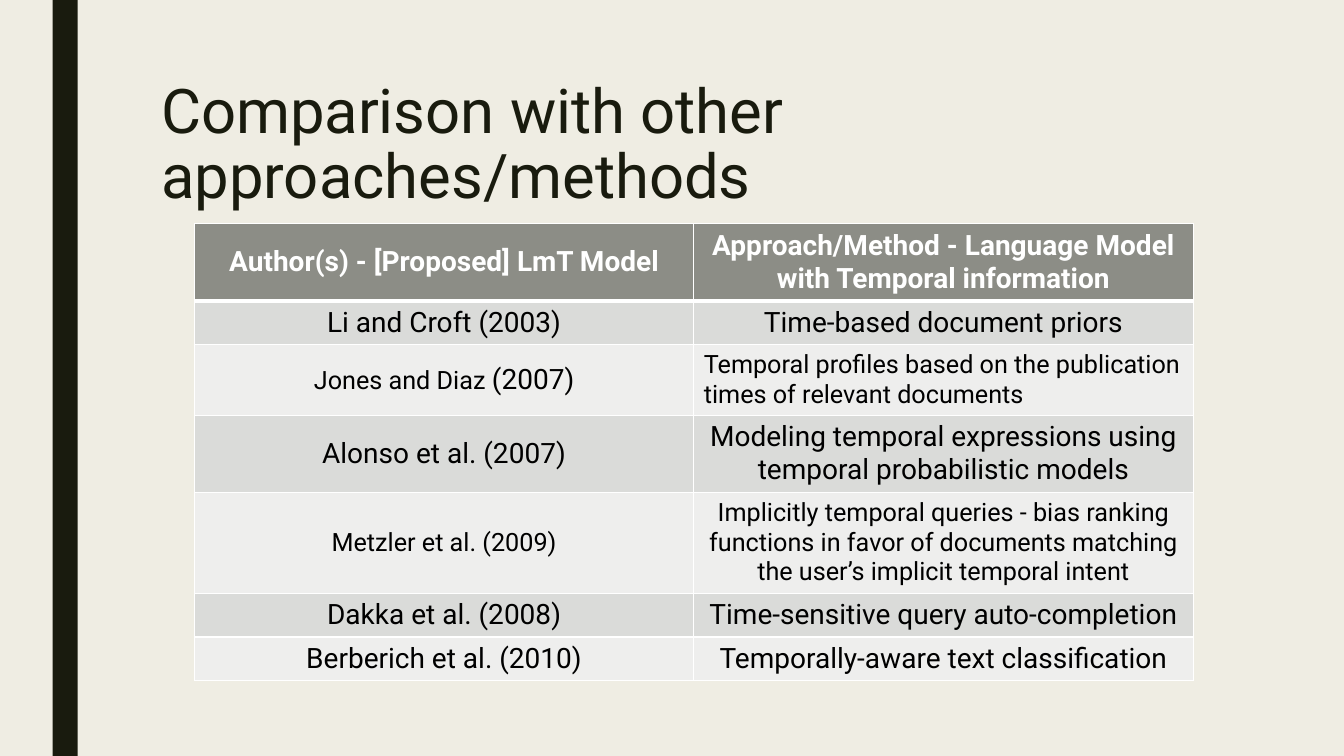
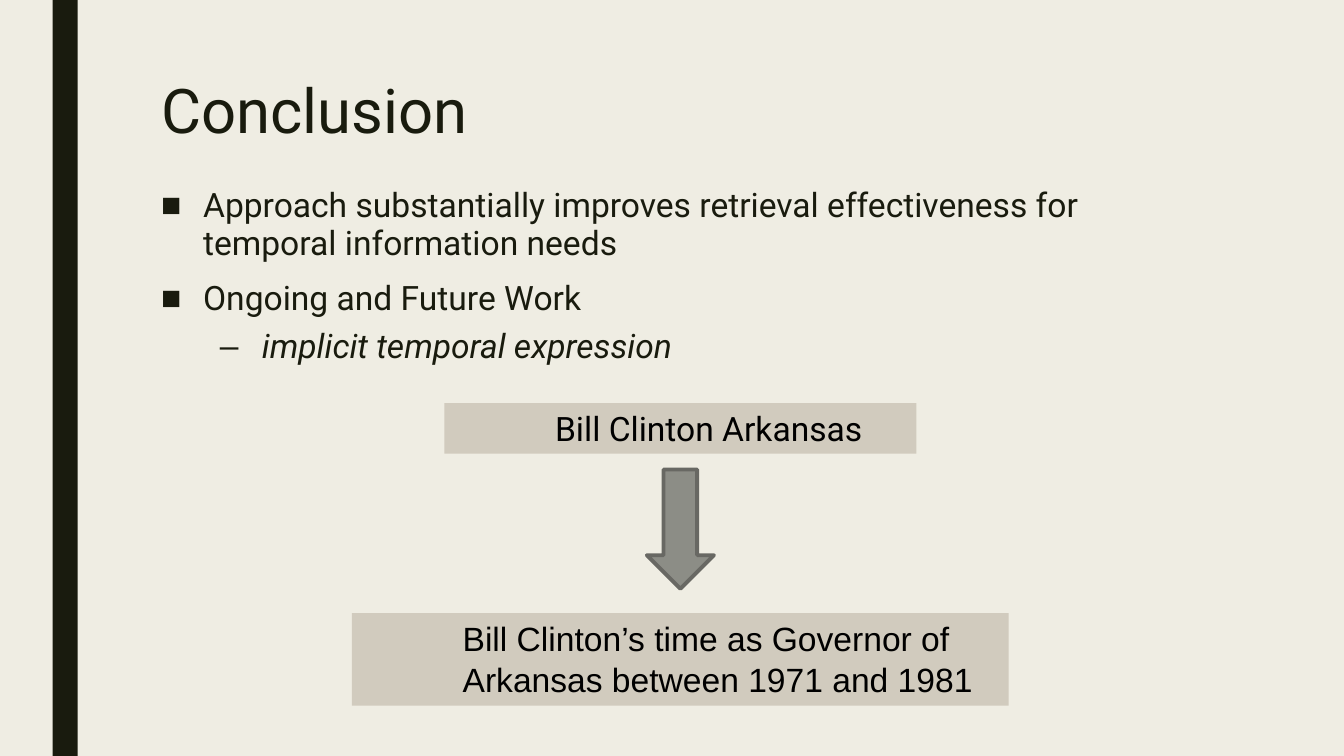
import lxml.etree
import pptx
import pptx.dml.color
import pptx.enum.shapes
import pptx.enum.text
import pptx.oxml.ns
import pptx.util

RGB = pptx.dml.color.RGBColor
SHAPE = pptx.enum.shapes.MSO_SHAPE
ALIGN = pptx.enum.text.PP_ALIGN
ANCHOR = pptx.enum.text.MSO_ANCHOR
Pt = pptx.util.Pt

PAPER = RGB(0xEF, 0xED, 0xE3)
INK = RGB(0x19, 0x1B, 0x0E)
STONE = RGB(0x8C, 0x8D, 0x86)
STONE_EDGE = RGB(0x68, 0x68, 0x63)
SAND = RGB(0xD1, 0xCB, 0xBE)
ROW_DARK = RGB(0xDA, 0xDB, 0xD9)
ROW_LIGHT = RGB(0xEE, 0xEE, 0xED)
WHITE = RGB(0xFF, 0xFF, 0xFF)
BLACK = RGB(0, 0, 0)

COLUMNS, ROWS = 160, 90
CELL = pptx.util.Inches(1 / 12)
MARGIN = 18
FLOW_AXIS = 81

BULLETS = [
    dict(mark="■", left=5, before=10, italic=False),
    dict(mark="–", left=12, before=5, italic=True),
]
HANGING = 5


def grid(*lengths):
    return [round(length * CELL) for length in lengths]


def set_values(target, values):
    for name, value in values.items():
        setattr(target, name, value)


def add_element(parent, tag, index=None, **attributes):
    element = lxml.etree.Element(pptx.oxml.ns.qn(tag), attributes)
    parent.insert(len(parent) if index is None else index, element)
    return element


class Deck:
    def __init__(self):
        self.deck = pptx.Presentation()
        self.deck.slide_width, self.deck.slide_height = grid(COLUMNS, ROWS)
        self.page = None

    def add_page(self, title):
        self.page = self.deck.slides.add_slide(self.deck.slide_layouts[6])
        background = self.page.background.fill
        background.solid()
        background.fore_color.rgb = PAPER
        self.add_figure(SHAPE.RECTANGLE, 6.25, 0, 3, ROWS, INK)
        frame = self.add_text(MARGIN, 9, 126, 19.5)
        para = frame.paragraphs[0]
        para.line_spacing = 0.89
        self.add_span(para, title, size=44)

    def add_span(self, para, text, size=24, color=INK, **values):
        span = para.add_run()
        span.text = text
        span.font.color.rgb = color
        set_values(span.font, {"name": "Roboto", "size": Pt(size), **values})

    def add_text(self, left, top, width, height):
        box = self.page.shapes.add_textbox(*grid(left, top, width, height))
        box.text_frame.word_wrap = True
        return box.text_frame

    def add_figure(self, kind, left, top, width, height, fill, edge=None):
        shape = self.page.shapes.add_shape(kind, *grid(left, top, width, height))
        shape.shadow.inherit = False
        shape.fill.solid()
        shape.fill.fore_color.rgb = fill
        if edge is None:
            shape.line.fill.background()
        else:
            shape.line.color.rgb = edge
            shape.line.width = Pt(2.75)
        return shape

    def add_flow_shape(self, kind, top, width, height, fill, edge=None):
        left = FLOW_AXIS - width / 2
        return self.add_figure(kind, left, top, width, height, fill, edge)

    def add_flow_box(self, top, width, height, text, font):
        box = self.add_flow_shape(SHAPE.RECTANGLE, top, width, height, SAND)
        frame = box.text_frame
        set_values(frame, {"word_wrap": True, "vertical_anchor": ANCHOR.TOP})
        para = frame.paragraphs[0]
        para.alignment = ALIGN.LEFT
        self.indent(para, 12, 0)
        self.add_span(para, text, color=BLACK, name=font)

    def indent(self, para, left, first):
        properties = para._p.get_or_add_pPr()
        for name, length in zip(("marL", "indent"), grid(left, first)):
            properties.set(name, str(length))
        return properties

    def add_bullets(self, top, height, items):
        frame = self.add_text(MARGIN, top, 123, height)
        for number, (level, text) in enumerate(items):
            para = frame.add_paragraph() if number else frame.paragraphs[0]
            style = BULLETS[level]
            set_values(para, {
                "level": level,
                "line_spacing": 0.94,
                "space_before": Pt(style["before"]),
                "space_after": Pt(2),
            })
            properties = self.indent(para, style["left"], -HANGING)
            add_element(properties, "a:buFont", typeface="Arial")
            add_element(properties, "a:buChar", char=style["mark"])
            self.add_span(para, text, italic=style["italic"])

    def add_borders(self, cell, top, bottom):
        properties = cell._tc.get_or_add_tcPr()
        widths = {"a:lnL": 1, "a:lnR": 1, "a:lnT": top, "a:lnB": bottom}
        for index, (side, width) in enumerate(widths.items()):
            line = add_element(properties, side, index, w=str(Pt(width)))
            fill = add_element(line, "a:solidFill")
            add_element(fill, "a:srgbClr", val=str(WHITE))

    def add_table(self, left, top, width, heights, rows):
        count = len(rows[0])
        table = self.page.shapes.add_table(
            len(rows), count, *grid(left, top, width, sum(heights))).table
        table.horz_banding = False
        for column in table.columns:
            column.width = grid(width / count)[0]
        for number, (height, texts) in enumerate(zip(heights, rows)):
            table.rows[number].height = grid(height)[0]
            header = number == 0
            fill = STONE if header else (ROW_LIGHT, ROW_DARK)[number % 2]
            for cell, (align, spans) in zip(table.rows[number].cells, texts):
                cell.vertical_anchor = ANCHOR.MIDDLE
                cell.fill.solid()
                cell.fill.fore_color.rgb = fill
                self.add_borders(cell, 3 if number == 1 else 1, 3 if header else 1)
                para = cell.text_frame.paragraphs[0]
                para.alignment = align
                for text, size in spans:
                    self.add_span(para, text, size, WHITE if header else BLACK, bold=header)


def centred(text, size=20):
    return ALIGN.CENTER, [(text, size)]


METHODS = [
    (centred("Author(s) - [Proposed] LmT Model"),
     centred("Approach/Method - Language Model with Temporal information")),
    (centred("Li and Croft (2003)"), centred("Time-based document priors")),
    ((ALIGN.CENTER, [("Jones and Diaz ", 18), ("(2007)", 20)]),
     (ALIGN.LEFT, [("Temporal profiles based on the publication times of relevant documents", 18)])),
    (centred("Alonso et al. (2007)"),
     centred("Modeling temporal expressions using temporal probabilistic models")),
    (centred("Metzler et al. (2009)", 18),
     centred("Implicitly temporal queries - bias ranking functions in favor of documents "
             "matching the user’s implicit temporal intent", 18)),
    (centred("Dakka et al. (2008)"), centred("Time-sensitive query auto-completion")),
    (centred("Berberich et al. (2010)"), centred("Temporally-aware text classification")),
]


def main():
    show = Deck()

    show.add_page("Comparison with other approaches/methods")
    show.add_table(23.15, 26.6, 118.9, [9, 5.1, 8.2, 9, 11.75, 5.1, 5.1], METHODS)

    show.add_page("Conclusion")
    show.add_bullets(21.75, 22.75, [
        (0, "Approach substantially improves retrieval effectiveness for temporal information needs"),
        (0, "Ongoing and Future Work"),
        (1, "implicit temporal expression"),
    ])
    show.add_flow_box(48, 56.2, 6, "Bill Clinton Arkansas", "Roboto")
    show.add_flow_box(73, 78.2, 11,
                      "Bill Clinton’s time as Governor of Arkansas between 1971 and 1981", "Arial")
    show.add_flow_shape(SHAPE.DOWN_ARROW, 55.9, 8, 14.2, STONE, STONE_EDGE)

    show.deck.save("out.pptx")


if __name__ == "__main__":
    main()
